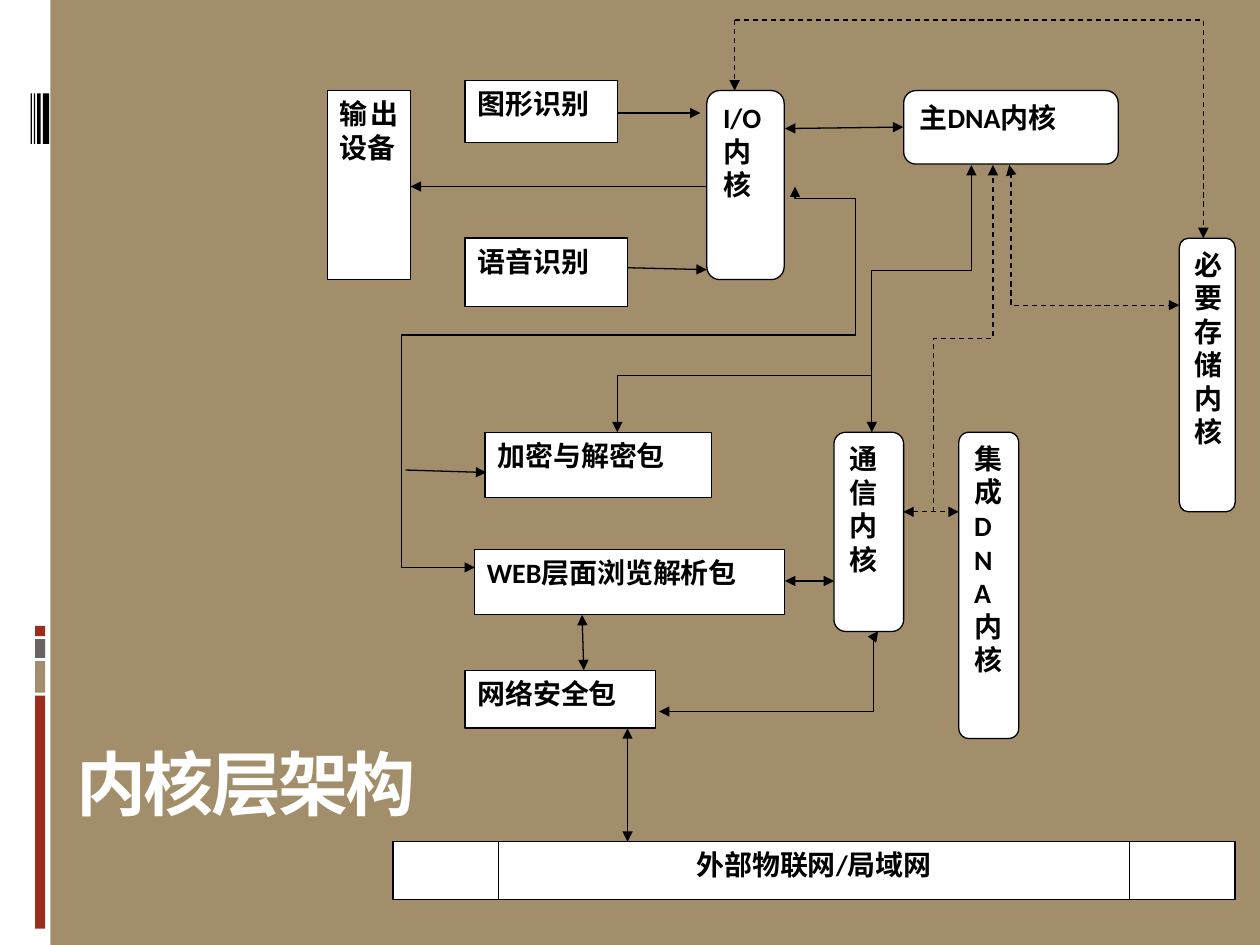
import pptx
import pptx.dml.color
import pptx.enum.dml
import pptx.enum.shapes
import pptx.enum.text
import pptx.oxml.ns
import pptx.util
from lxml import etree

Pt = pptx.util.Pt
SHAPES = pptx.enum.shapes.MSO_SHAPE
CONNECTORS = pptx.enum.shapes.MSO_CONNECTOR
ALIGN = pptx.enum.text.PP_ALIGN
ANCHOR = pptx.enum.text.MSO_ANCHOR
qn = pptx.oxml.ns.qn


def color(value):
    return pptx.dml.color.RGBColor.from_string(value)


class Diagram:
    """Holds the slide and the style shared by its elements."""
    ink = "000000"
    paper = "FFFFFF"
    line_width = Pt(0.75)

    def __init__(self, slide):
        self.slide = slide

    def background(self, fill):
        self.slide.background.fill.solid()
        self.slide.background.fill.fore_color.rgb = color(fill)

    def shape(self, kind, place, fill):
        shape = self.slide.shapes.add_shape(kind, *map(Pt, place))
        shape.shadow.inherit = False
        shape.fill.solid()
        shape.fill.fore_color.rgb = color(fill)
        shape.line.fill.background()
        return shape

    def add_text(self, frame, text, size, font, fill, align):
        frame.word_wrap = True
        para = frame.paragraphs[0]
        para.alignment = align
        span = para.add_run()
        span.text = text
        span.font.size = Pt(size)
        span.font.name = font
        span.font.bold = True
        span.font.color.rgb = color(fill)
        return span

    def title(self, place, text):
        box = self.slide.shapes.add_textbox(*map(Pt, place))
        box.text_frame.vertical_anchor = ANCHOR.BOTTOM
        span = self.add_text(box.text_frame, text, 40, "Cabin", self.paper, ALIGN.LEFT)
        span._r.get_or_add_rPr().set("spc", "-150")

    def node(self, kind, place, text, align=ALIGN.JUSTIFY):
        box = self.shape(kind, place, self.paper)
        box.line.color.rgb = color(self.ink)
        box.line.width = self.line_width
        box.text_frame.vertical_anchor = ANCHOR.TOP
        self.add_text(box.text_frame, text, 16, "Calibri", self.ink, align)

    def line(self, start, end, heads="tail", dashed=False, kind=CONNECTORS.STRAIGHT):
        line = self.slide.shapes.add_connector(kind, *map(Pt, start + end))
        line.line.color.rgb = color(self.ink)
        line.line.width = self.line_width
        if dashed:
            line.line.dash_style = pptx.enum.dml.MSO_LINE.DASH
        properties = line._element.spPr
        outline = properties.find(qn("a:ln"))
        for side in ("head", "tail"):
            if heads in (side, "both"):
                etree.SubElement(outline, qn(f"a:{side}End"), type="triangle")
        etree.SubElement(properties, qn("a:effectLst"))
        return line

    def elbow(self, start, end, bend, heads="tail", dashed=False, upward=False):
        """Bend at a share of the way; upward lines leave vertically."""
        if upward:
            middle_x, middle_y = (start[0] + end[0]) / 2, (start[1] + end[1]) / 2
            half_x, half_y = (end[0] - start[0]) / 2, (start[1] - end[1]) / 2
            start = (middle_x - half_y, middle_y - half_x)
            end = (middle_x + half_y, middle_y + half_x)
        line = self.line(start, end, heads, dashed, CONNECTORS.ELBOW)
        properties = line._element.spPr
        if upward:
            properties.find(qn("a:xfrm")).set("rot", str(270 * 60000))
        guides = properties.find(qn("a:prstGeom")).find(qn("a:avLst"))
        etree.SubElement(guides, qn("a:gd"), name="adj1",
                         fmla=f"val {round(bend * 100000)}")


def main():
    deck = pptx.Presentation()
    deck.slide_width, deck.slide_height = Pt(720), Pt(540)
    diagram = Diagram(deck.slides.add_slide(deck.slide_layouts[6]))
    diagram.background("A28E6A")

    diagram.shape(SHAPES.RECTANGLE, (0, 0, 28.8, 540), "FFFFFF")
    for top, height, fill in [(397.5, 133.2, "9B2D1F"), (377.8, 18, "A28E6A"),
                              (365.2, 10.8, "696464"), (357.7, 5.8, "9B2D1F")]:
        diagram.shape(SHAPES.RECTANGLE, (20, top, 5.8, height), fill)
    for left, width in [(24.5, 3.6), (21.2, 2), (19.4, 0.7), (17.5, 0.7)]:
        diagram.shape(SHAPES.RECTANGLE, (left, 53.4, width, 28.8), "000000")

    diagram.title((36.7, 319, 612, 155.5), "内核层架构")

    packages = [
        ((277.2, 247, 129.6, 37.4), "加密与解密包"),
        ((265.7, 383, 108.7, 33.1), "网络安全包"),
        ((187.2, 51.8, 47.5, 108), "输出设备"),
        ((265.7, 46.1, 87.1, 35.3), "图形识别"),
        ((265.7, 136.1, 92.9, 38.9), "语音识别"),
        ((271.2, 313.9, 177.1, 37.4), "WEB层面浏览解析包"),
    ]
    kernels = [
        ((547.9, 247, 34.2, 175), "集成DNA内核"),
        ((403.9, 51.8, 44.2, 108), "I/O内核"),
        ((516.4, 51.8, 122.6, 42), "主DNA内核"),
        ((673.9, 136.1, 31.9, 156.4), "必要存储内核"),
        ((476.6, 247, 39.8, 113.8), "通信内核"),
    ]
    for place, text in packages:
        diagram.node(SHAPES.FLOWCHART_PROCESS, place, text)
    for place, text in kernels:
        diagram.node(SHAPES.FLOWCHART_ALTERNATE_PROCESS, place, text)
    diagram.node(SHAPES.FLOWCHART_PREDEFINED_PROCESS, (224.6, 481, 481.2, 33.1),
                 "外部物联网/局域网", ALIGN.CENTER)

    package_fork = (498.2, 214.6)
    input_fork = (488.9, 191.5)
    storage_corner = (419.8, 11.5)

    diagram.line(package_fork, (498.2, 247))
    diagram.line((403.9, 106.6), (234.7, 106.6))
    diagram.line((352.8, 64.6), (400.3, 64.6))
    diagram.line((358.6, 153), (403.9, 154.1))
    diagram.line((231.8, 268.6), (277.9, 270))
    diagram.line((231.8, 324.2), (271.4, 324.2))
    diagram.line(storage_corner, (419.8, 51.8), dashed=True)
    diagram.line((448.6, 73.5), (516.2, 72.6), "both")
    diagram.line((448.6, 332), (476.6, 332), "both")
    diagram.line((332.6, 351.4), (333.6, 383), "both")
    diagram.line((358.6, 416.2), (358.6, 481), "both")
    diagram.line((516.2, 292.5), (547.9, 292.5), "both", dashed=True)

    diagram.elbow((576.7, 94.3), (673.9, 174.4), 0.01, "both", dashed=True)
    diagram.elbow(storage_corner, (687.6, 136.1), 1, dashed=True)
    diagram.elbow(input_fork, (234.7, 324.2), 1.02, heads=None)
    diagram.elbow(input_fork, (454.3, 106.6), 0.92, upward=True)
    diagram.elbow(package_fork, (352.8, 247), 1)
    diagram.elbow(package_fork, (555.1, 94.3), 0.5, upward=True)
    diagram.elbow((533.5, 292.5), (567.4, 94.3), 0.5, dashed=True, upward=True)
    diagram.elbow((376.6, 406.6), (501.8, 360.7), 0.98, "both")

    deck.save("out.pptx")


if __name__ == "__main__":
    main()
